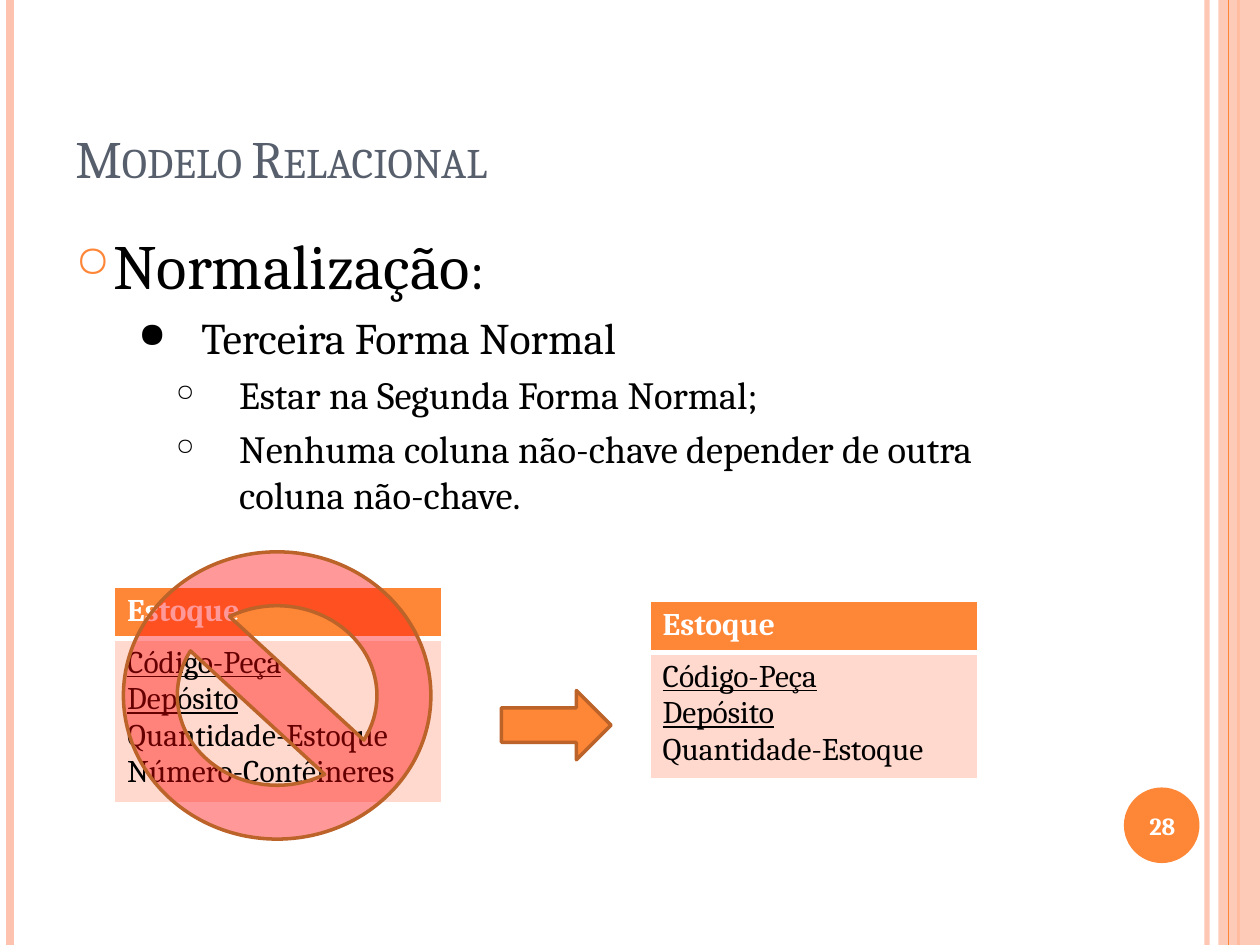
"""Build a slide on the third normal form of the relational model."""
import pptx
import pptx.dml.color
import pptx.enum.shapes
import pptx.enum.text
import pptx.oxml.ns
import pptx.oxml.xmlchemy
import pptx.util
from lxml import etree

Inches = pptx.util.Inches
Pt = pptx.util.Pt
RGBColor = pptx.dml.color.RGBColor
Shape = pptx.enum.shapes.MSO_SHAPE
Anchor = pptx.enum.text.MSO_ANCHOR
qn = pptx.oxml.ns.qn

FONT = "Cambria"
ORANGE = RGBColor(0xFE, 0x86, 0x37)
PEACH = RGBColor(0xFE, 0xC3, 0xAE)
PALE = RGBColor(0xFF, 0xD9, 0xCE)
BROWN = RGBColor(0xBC, 0x63, 0x29)
RED = RGBColor(0xFF, 0x00, 0x00)
SLATE = RGBColor(0x57, 0x5F, 0x6D)
BLACK = RGBColor(0x00, 0x00, 0x00)
WHITE = RGBColor(0xFF, 0xFF, 0xFF)


def set_opacity(shape, percent):
    """Make the colours set so far on a shape partly transparent."""
    for color in shape._element.spPr.iter(qn("a:srgbClr")):
        etree.SubElement(color, qn("a:alpha"), val=str(percent * 1000))


def add_rule(page, x, color, width, opacity=100):
    """Draw a full-height vertical line."""
    rule = page.shapes.add_connector(
        pptx.enum.shapes.MSO_CONNECTOR.STRAIGHT, Inches(x), 0, Inches(x), Inches(7.5))
    rule.line.color.rgb = color
    rule.line.width = Pt(width)
    if opacity < 100:
        set_opacity(rule, opacity)
    etree.SubElement(rule._element.spPr, qn("a:effectLst"))


def add_figure(page, kind, place, fill, opacity=100, outline=None):
    """Draw a filled preset shape."""
    figure = page.shapes.add_shape(kind, *map(Inches, place))
    figure.shadow.inherit = False
    figure.fill.solid()
    figure.fill.fore_color.rgb = fill
    if opacity < 100:
        set_opacity(figure, opacity)
    if outline is None:
        figure.line.fill.background()
    else:
        figure.line.color.rgb = outline
        figure.line.width = Pt(2)


def add_box(page, place, anchor=Anchor.TOP):
    """Add a wrapping text box and return its text frame."""
    frame = page.shapes.add_textbox(*map(Inches, place)).text_frame
    frame.word_wrap = True
    frame.vertical_anchor = anchor
    return frame


def next_para(frame, index):
    """Return the first paragraph, or a new one after it."""
    return frame.paragraphs[0] if index == 0 else frame.add_paragraph()


def add_span(para, text, size, color=BLACK, bold=False, underline=False):
    """Add a run of text to a paragraph."""
    span = para.add_run()
    span.text = text
    span.font.name = FONT
    span.font.size = Pt(size)
    span.font.color.rgb = color
    span.font.bold = bold
    span.font.underline = underline
    return span


def set_bullet(para, char, percent, left, hanging, color):
    """Give a paragraph a bullet and a hanging indent."""
    props = para._p.get_or_add_pPr()
    props.set("marL", str(Inches(left)))
    props.set("indent", str(-Inches(hanging)))
    tint = etree.SubElement(props, qn("a:buClr"))
    etree.SubElement(tint, qn("a:srgbClr"), val=str(color))
    etree.SubElement(props, qn("a:buSzPct"), val=str(percent * 1000))
    etree.SubElement(props, qn("a:buChar"), char=char)


def add_outline(page):
    """Write the bulleted outline."""
    levels = [("○", 70, 0.3, 0.3, ORANGE), ("●", 80, 1, 0.5, BLACK), ("○", 60, 1.3, 0.5, BLACK)]
    items = [
        (0, 0, [("Normalização", 36), (":", 31)]),
        (1, 5, [("Terceira Forma Normal", 25)]),
        (2, 4.4, [("Estar na Segunda Forma Normal;", 22)]),
        (2, 4.4, [("Nenhuma coluna não-chave depender de outra coluna não-chave.", 22)]),
    ]
    frame = add_box(page, (0.5, 1.75, 8.17, 4.76))
    for index, (level, space, spans) in enumerate(items):
        para = next_para(frame, index)
        para.level = level
        set_bullet(para, *levels[level])
        if space:
            para.space_before = Pt(space)
        for text, size in spans:
            add_span(para, text, size)


def style_cell(cell, fill, top, bottom):
    """Set the white borders and the fill of a cell."""
    props = cell._tc.get_or_add_tcPr()
    for side, width in (("L", 1), ("R", 1), ("T", top), ("B", bottom)):
        border = etree.SubElement(props, qn("a:ln" + side), w=str(Pt(width)))
        solid = etree.SubElement(border, qn("a:solidFill"))
        etree.SubElement(solid, qn("a:srgbClr"), val=str(WHITE))
    cell.fill.solid()
    cell.fill.fore_color.rgb = fill


def add_entity(page, left, top, name, keys, columns):
    """Draw an entity as a table with its key columns underlined."""
    table = page.shapes.add_table(
        2, 1, Inches(left), Inches(top), Inches(2.6), Inches(0.82)).table
    header, body = table.cell(0, 0), table.cell(1, 0)
    style_cell(header, ORANGE, 1, 3)
    style_cell(body, PALE, 3, 1)
    add_span(header.text_frame.paragraphs[0], name, 18, WHITE, bold=True)
    for index, column in enumerate(keys + columns):
        para = next_para(body.text_frame, index)
        add_span(para, column, 18, underline=column in keys)


def add_frame(page):
    """Draw the vertical bands and the page number disc."""
    add_rule(page, 9.58, PEACH, 3, 93)
    add_rule(page, 0.08, PEACH, 4.5)
    add_rule(page, 9.83, ORANGE, 1.5)
    add_figure(page, Shape.RECTANGLE, (9.67, 0, 0.33, 7.5), PEACH, 87)
    add_rule(page, 9.75, ORANGE, 0.75)
    add_figure(page, Shape.OVAL, (8.92, 6.25, 0.6, 0.6), ORANGE)


def main():
    """Build and save the slide."""
    deck = pptx.Presentation()
    deck.slide_width, deck.slide_height = Inches(10), Inches(7.5)
    page = deck.slides.add_slide(deck.slide_layouts[6])
    add_frame(page)
    add_outline(page)

    title = add_box(page, (0.5, 0.3, 8.17, 1.25), Anchor.BOTTOM)
    heading = add_span(title.paragraphs[0], "Modelo Relacional", 30, SLATE)
    heading._r.get_or_add_rPr().set("cap", "small")

    number = add_box(page, (8.89, 6.27, 0.67, 0.57), Anchor.MIDDLE).paragraphs[0]
    number.alignment = pptx.enum.text.PP_ALIGN.CENTER
    add_span(number, "28", 14, WHITE, bold=True)

    keys = ["Código-Peça", "Depósito"]
    add_entity(page, 0.91, 4.66, "Estoque", keys, ["Quantidade-Estoque", "Número-Contêineres"])
    add_entity(page, 5.16, 4.77, "Estoque", keys, ["Quantidade-Estoque"])
    add_figure(page, Shape.NO_SYMBOL, (0.98, 4.38, 2.44, 2.28), RED, 40, BROWN)
    add_figure(page, Shape.RIGHT_ARROW, (3.98, 5.48, 0.87, 0.55), ORANGE, outline=BROWN)
    deck.save("out.pptx")


if __name__ == "__main__":
    main()
